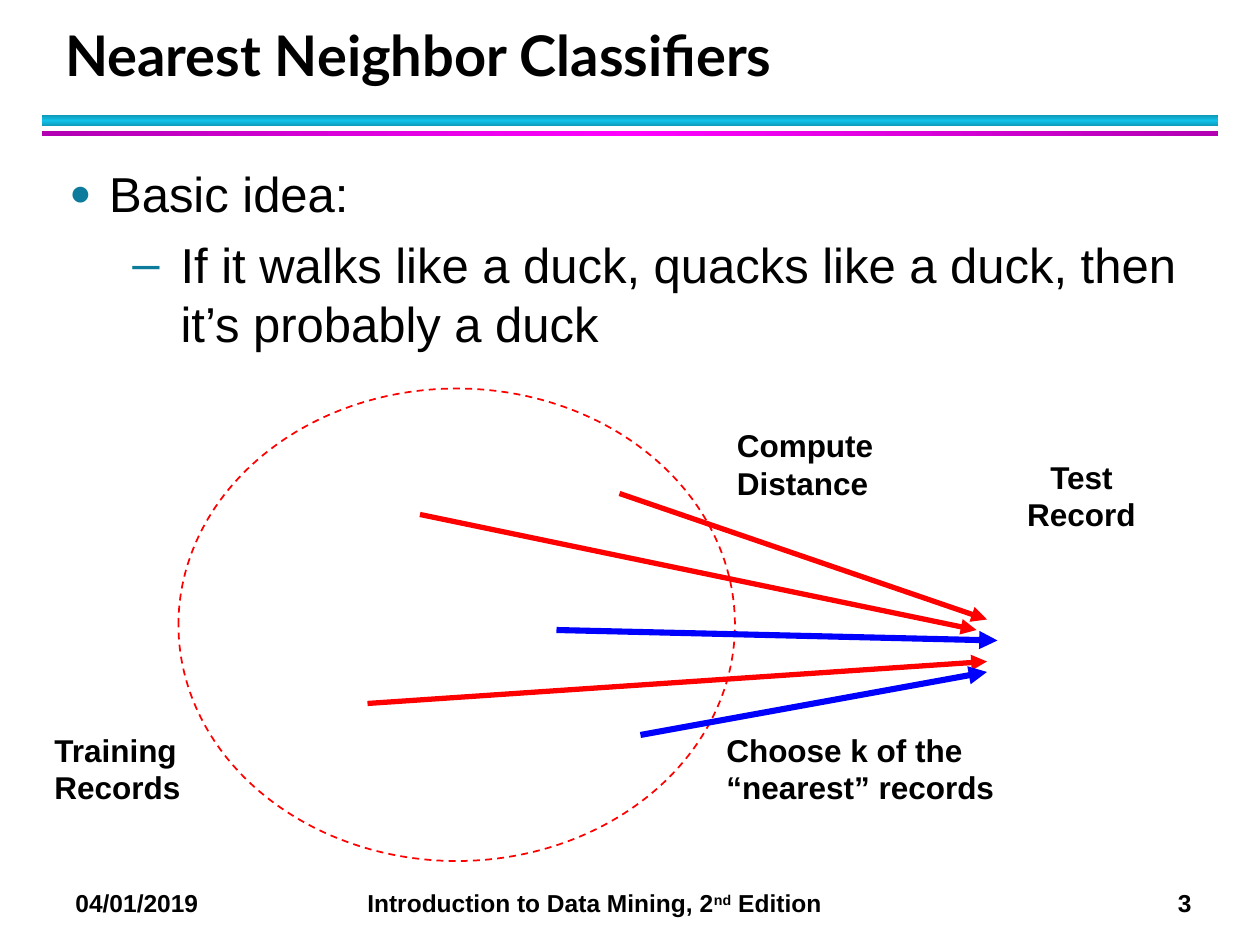
from copy import deepcopy
from typing import Any, NamedTuple

from pptx import Presentation
from pptx.dml.color import RGBColor as Rgb
from pptx.enum.dml import MSO_LINE_DASH_STYLE as Dash
from pptx.enum.shapes import MSO_CONNECTOR as Link, MSO_SHAPE as Form
from pptx.enum.text import MSO_ANCHOR as Anchor, MSO_AUTO_SIZE as Fit, PP_ALIGN as Align
from pptx.oxml.ns import qn
from pptx.oxml.xmlchemy import OxmlElement as Node
from pptx.util import Pt

PX = 914400 // 120
BLACK = Rgb(0x00, 0x00, 0x00)
RED = Rgb(0xFF, 0x00, 0x00)
BLUE = Rgb(0x00, 0x00, 0xFF)
TEAL = Rgb(0x0C, 0x7B, 0x9C)
CYAN = Rgb(0x12, 0xC2, 0xE9)
DEEP = Rgb(0x0E, 0x9B, 0xBA)
PINK = Rgb(0xFF, 0x00, 0xFF)
PLUM = Rgb(0xB2, 0x00, 0xB2)

HEAD = {"name": "Lato", "size": Pt(32), "bold": True}
BODY = {"name": "Arial", "size": Pt(28), "bold": False}
LABEL = {"name": "Arial", "size": Pt(18), "bold": True}
FOOT = {"name": "Arial", "size": Pt(14), "bold": True}
FRAME = {"word_wrap": True, "auto_size": Fit.NONE}


class Box(NamedTuple):
    x: int
    y: int
    w: int
    h: int


class Band(NamedTuple):
    box: Box
    edge: Rgb
    core: Rgb
    angle: int


class Point(NamedTuple):
    text: str
    level: int
    mark: str
    scale: int
    left: int
    hang: int
    before: float


class Label(NamedTuple):
    text: str
    box: Box
    align: Align = Align.LEFT


class Arrow(NamedTuple):
    x1: int
    y1: int
    x2: int
    y2: int
    color: Rgb = RED
    width: float = 3


BANDS = [
    Band(Box(40, 110, 1120, 10), DEEP, CYAN, 90),
    Band(Box(40, 125, 1120, 5), PLUM, PINK, 0),
]
POINTS = [
    Point("Basic idea:", 0, "●", 75, 38, 38, 0),
    Point("If it walks like a duck, quacks like a duck, then it’s probably a duck",
          1, "–", 100, 106, 46, 2.8),
]
LABELS = [
    Label("Training Records", Box(40, 690, 180, 84)),
    Label("Test Record", Box(940, 430, 180, 84), Align.CENTER),
    Label("Compute Distance", Box(690, 400, 180, 84)),
    Label("Choose k of the “nearest” records", Box(680, 690, 290, 84)),
]
ARROWS = [
    Arrow(590, 470, 940, 590),
    Arrow(350, 670, 940, 630),
    Arrow(400, 490, 930, 600),
    Arrow(530, 600, 950, 610, BLUE, 3.5),
    Arrow(610, 700, 940, 640, BLUE, 3.5),
]


def apply(item: Any, form: dict) -> None:
    for key, value in form.items():
        setattr(item, key, value)


def place(shape: Any, box: Box) -> None:
    apply(shape, dict(zip(("left", "top", "width", "height"), (n * PX for n in box))))


def style(font: Any, form: dict) -> None:
    apply(font, form)
    font.color.rgb = BLACK


def add_node(base: Any, tag: str, **attrs: Any) -> Any:
    node = Node(tag)
    for key, value in attrs.items():
        node.set(key, str(value))
    base.append(node)
    return node


def draw_shape(slide: Any, form: Form, box: Box) -> Any:
    shape = slide.shapes.add_shape(form, *(n * PX for n in box))
    shape.shadow.inherit = False
    return shape


def draw_band(slide: Any, band: Band) -> None:
    shape = draw_shape(slide, Form.RECTANGLE, band.box)
    shape.line.fill.background()
    fill = shape.fill
    fill.gradient()
    fill.gradient_angle = band.angle
    stops = shape._element.spPr.find(".//" + qn("a:gsLst"))
    stops.insert(1, deepcopy(stops[0]))
    for stop, color, place_at in zip(fill.gradient_stops, (band.edge, band.core, band.edge), (0, 0.5, 1)):
        stop.color.rgb = color
        stop.position = place_at


def draw_title(slide: Any, text: str) -> None:
    title = slide.shapes.title
    place(title, Box(50, 20, 1087, 70))
    frame = title.text_frame
    apply(frame, {**FRAME, "vertical_anchor": Anchor.BOTTOM})
    frame.text = text
    para = frame.paragraphs[0]
    apply(para, {"alignment": Align.LEFT, "line_spacing": Pt(36)})
    style(para.font, HEAD)


def draw_points(slide: Any, points: list[Point]) -> None:
    body = slide.placeholders[1]
    place(body, Box(54, 150, 1092, 680))
    frame = body.text_frame
    apply(frame, FRAME)
    for i, point in enumerate(points):
        para = frame.add_paragraph() if i else frame.paragraphs[0]
        para.text = point.text
        props = para._p.get_or_add_pPr()
        props.set("marL", str(point.left * PX))
        props.set("indent", str(-point.hang * PX))
        add_node(add_node(props, "a:buClr"), "a:srgbClr", val=TEAL)
        add_node(props, "a:buSzPct", val=point.scale * 1000)
        add_node(props, "a:buFont", typeface="Arial")
        add_node(props, "a:buChar", char=point.mark)
        apply(para, {"level": point.level, "space_before": Pt(point.before), "space_after": Pt(4)})
        style(para.font, BODY)


def add_text(slide: Any, box: Box) -> Any:
    frame = slide.shapes.add_textbox(*(n * PX for n in box)).text_frame
    apply(frame, FRAME)
    return frame.paragraphs[0]


def draw_label(slide: Any, label: Label) -> None:
    para = add_text(slide, label.box)
    para.text = label.text
    para.alignment = label.align
    style(para.font, LABEL)


def draw_arrow(slide: Any, arrow: Arrow) -> None:
    line = slide.shapes.add_connector(Link.STRAIGHT, *(n * PX for n in arrow[:4]))
    line.line.color.rgb = arrow.color
    line.line.width = Pt(arrow.width)
    add_node(line.line._get_or_add_ln(), "a:tailEnd", type="triangle")
    add_node(line._element.spPr, "a:effectLst")


def draw_foot(slide: Any) -> None:
    para = add_text(slide, Box(60, 840, 1120, 41))
    tabs = add_node(para._p.get_or_add_pPr(), "a:tabLst")
    for spot, side in ((278, "l"), (1063, "r")):
        add_node(tabs, "a:tab", pos=spot * PX, algn=side)
    for text, base in (("04/01/2019\tIntroduction to Data Mining, 2", 0), ("nd", 30000), (" Edition\t3", 0)):
        run = para.add_run()
        run.text = text
        style(run.font, FOOT)
        if base:
            run._r.get_or_add_rPr().set("baseline", str(base))


def main() -> None:
    deck = Presentation()
    apply(deck, {"slide_width": 1200 * PX, "slide_height": 900 * PX})
    slide = deck.slides.add_slide(deck.slide_layouts[1])
    for band in BANDS:
        draw_band(slide, band)
    draw_foot(slide)
    draw_title(slide, "Nearest Neighbor Classifiers")
    draw_points(slide, POINTS)
    ring = draw_shape(slide, Form.OVAL, Box(170, 370, 530, 450))
    ring.fill.background()
    ring.line.color.rgb = RED
    apply(ring.line, {"width": Pt(1), "dash_style": Dash.DASH})
    for label in LABELS:
        draw_label(slide, label)
    for arrow in ARROWS:
        draw_arrow(slide, arrow)
    deck.save("out.pptx")


if __name__ == "__main__":
    main()
